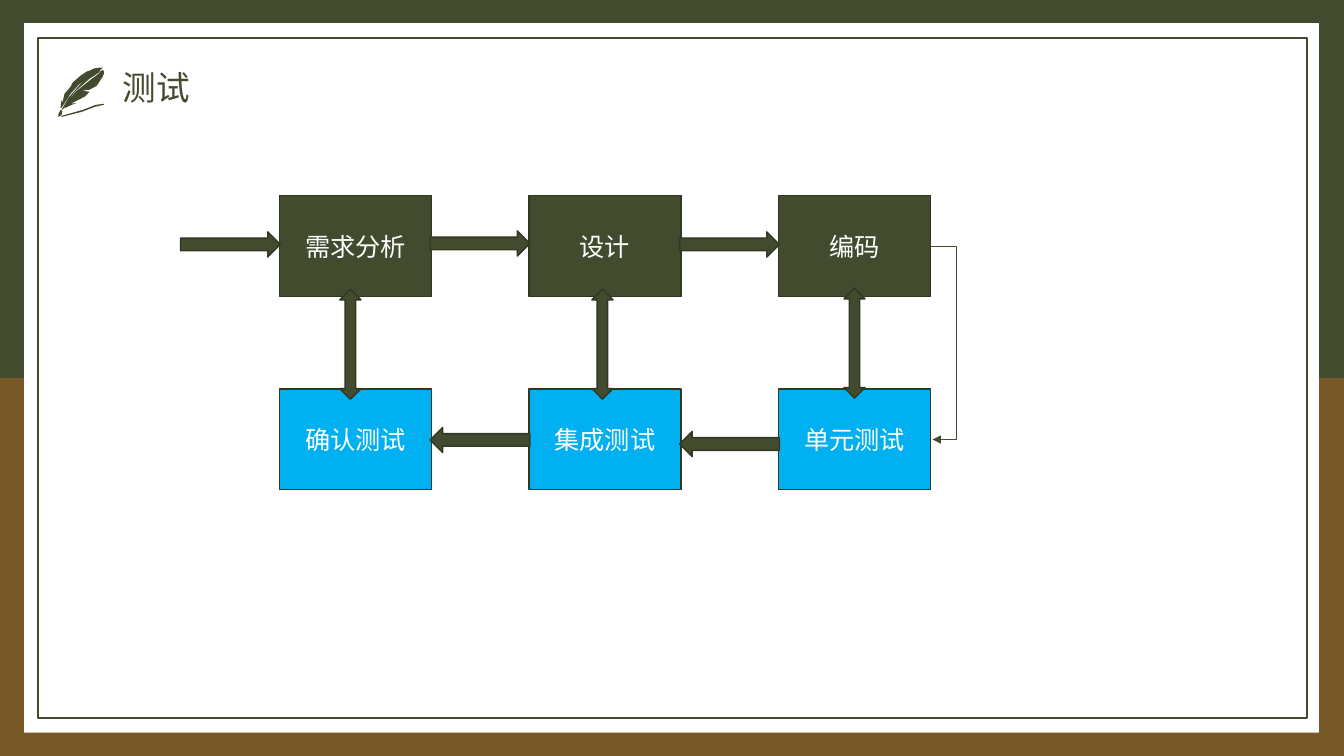
"""Build the testing-process slide with its two-row flow of stages."""
import dataclasses
import typing

import lxml.etree
import pptx
import pptx.dml.color
import pptx.enum.shapes
import pptx.enum.text
import pptx.oxml.ns
import pptx.shapes.autoshape
import pptx.shapes.connector
import pptx.slide
import pptx.util

Preset = pptx.enum.shapes.MSO_SHAPE
Inches = pptx.util.Inches


@dataclasses.dataclass(frozen=True)
class Theme:
    green: str = "434B2F"
    outline: str = "323723"
    brown: str = "795827"
    blue: str = "00B0F0"
    white: str = "FFFFFF"
    title_font: str = "Arial"
    body_font: str = "Montserrat"
    title_size: int = 24
    body_size: int = 18


@dataclasses.dataclass(frozen=True)
class Grid:
    left: float = 2.77
    top: float = 1.94
    column_pitch: float = 2.475
    row_pitch: float = 1.92
    width: float = 1.51
    height: float = 1.0

    def x(self, column: float) -> float:
        return self.left + column * self.column_pitch

    def y(self, row: float) -> float:
        return self.top + row * self.row_pitch


class Box(typing.NamedTuple):
    left: float
    top: float
    width: float
    height: float


class Stage(typing.NamedTuple):
    label: str
    column: int
    row: int


class Arrow(typing.NamedTuple):
    preset: Preset
    box: Box


THEME = Theme()
GRID = Grid()
WIDTH, HEIGHT = 13.33, 7.5

STAGES = [
    Stage(label, column, row)
    for row, labels in enumerate([("需求分析", "设计", "编码"), ("确认测试", "集成测试", "单元测试")])
    for column, label in enumerate(labels)
]

ARROWS = [
    *(Arrow(Preset.RIGHT_ARROW, Box(GRID.x(column) - 0.98, top, 0.99, 0.25))
      for column, top in enumerate((2.3, 2.29, 2.3))),
    *(Arrow(Preset.LEFT_ARROW, Box(GRID.x(column) - 0.98, top, 0.99, 0.25))
      for column, top in ((1, 4.24), (2, 4.28))),
    *(Arrow(Preset.UP_DOWN_ARROW, Box(3.37 + 2.5 * column, top, 0.21, 1.09))
      for column, top in enumerate((2.87, 2.87, 2.86))),
]

FEATHER = [
    [(99, 67), (102, 67), (98, 71), (94, 74), (79, 83), (70, 93), (61, 107), (60, 107),
     (61, 99), (62, 102), (64, 93), (70, 86), (72, 82), (80, 75), (86, 71), (89, 70), (93, 68)],
    [(102, 69), (103, 71), (103, 73), (102, 76), (98, 82), (96, 85), (89, 89), (81, 90),
     (89, 91), (84, 96), (81, 97), (73, 98), (82, 97), (70, 103), (76, 102), (69, 105),
     (65, 107), (63, 107), (75, 91), (90, 79), (98, 73)],
    [(101, 70), (89, 78), (74, 91), (63, 108), (61, 109), (68, 97), (80, 83), (95, 73)],
    [(60, 109), (62, 110), (61, 114), (58, 116), (58, 113)],
    [(103, 103), (103, 104), (94, 106), (81, 111), (61, 116), (61, 115), (82, 109), (95, 104)],
]


def color(value: str) -> pptx.dml.color.RGBColor:
    """Turn a hex string into a colour."""
    return pptx.dml.color.RGBColor.from_string(value)


def paint(shape: pptx.shapes.autoshape.Shape, fill: str | None,
          line: str | None = None, weight: float = 1) -> None:
    """Set the fill and line of a shape and drop its shadow."""
    shape.shadow.inherit = False
    if fill:
        shape.fill.solid()
        shape.fill.fore_color.rgb = color(fill)
    else:
        shape.fill.background()
    if line:
        shape.line.color.rgb = color(line)
        shape.line.width = pptx.util.Pt(weight)
    else:
        shape.line.fill.background()


def add_preset(slide: pptx.slide.Slide, preset: Preset, box: Box, fill: str | None,
               line: str | None = None, weight: float = 1) -> pptx.shapes.autoshape.Shape:
    """Add a painted preset shape."""
    shape = slide.shapes.add_shape(preset, *map(Inches, box))
    paint(shape, fill, line, weight)
    return shape


def write(shape: pptx.shapes.autoshape.Shape, text: str, font: str, size: int, ink: str,
          alignment: pptx.enum.text.PP_ALIGN, spacing: float = 1.0) -> None:
    """Write one run into a vertically centred shape."""
    frame = shape.text_frame
    frame.word_wrap = True
    frame.vertical_anchor = pptx.enum.text.MSO_ANCHOR.MIDDLE
    paragraph = frame.paragraphs[0]
    paragraph.alignment = alignment
    paragraph.line_spacing = spacing
    run = paragraph.add_run()
    run.text = text
    run.font.name = font
    run.font.size = pptx.util.Pt(size)
    run.font.color.rgb = color(ink)


def add_frame(slide: pptx.slide.Slide) -> None:
    """Draw the two-colour border, the white page and its thin rule."""
    half = HEIGHT / 2
    add_preset(slide, Preset.RECTANGLE, Box(0, half, WIDTH, half), THEME.brown)
    add_preset(slide, Preset.RECTANGLE, Box(0, 0, WIDTH, half), THEME.green)
    add_preset(slide, Preset.RECTANGLE, Box(0.24, 0.23, 12.84, 7.04), THEME.white)
    add_preset(slide, Preset.RECTANGLE, Box(0.38, 0.38, 12.58, 6.74), None, THEME.green, 1.5)


def add_feather(slide: pptx.slide.Slide) -> None:
    """Draw the feather from outlines in hundredths of an inch."""
    builder = slide.shapes.build_freeform(*FEATHER[0][0], scale=Inches(0.01))
    builder.add_line_segments(FEATHER[0][1:])
    for contour in FEATHER[1:]:
        builder.move_to(*contour[0])
        builder.add_line_segments(contour[1:])
    paint(builder.convert_to_shape(), THEME.green)


def add_return_line(slide: pptx.slide.Slide) -> None:
    """Link coding to unit testing with a bent arrow round the right side."""
    start = GRID.x(2) + GRID.width
    top = GRID.y(0) + GRID.height / 2
    run_width, reach = 0.02, 0.25
    connector = slide.shapes.add_connector(
        pptx.enum.shapes.MSO_CONNECTOR.ELBOW,
        *map(Inches, (start, top, start + run_width, top + GRID.row_pitch)))
    connector.line.color.rgb = color(THEME.green)
    connector.line.width = pptx.util.Pt(0.5)
    qualified = pptx.oxml.ns.qn
    properties = connector._element.spPr
    geometry = properties.find(qualified("a:prstGeom"))
    values = geometry.find(qualified("a:avLst"))
    if values is None:
        values = lxml.etree.SubElement(geometry, qualified("a:avLst"))
    lxml.etree.SubElement(values, qualified("a:gd"), name="adj1",
                          fmla=f"val {round(reach / run_width * 100000)}")
    line = properties.find(qualified("a:ln"))
    lxml.etree.SubElement(line, qualified("a:tailEnd"), type="triangle")
    lxml.etree.SubElement(properties, qualified("a:effectLst"))


def main() -> None:
    """Assemble and save the slide."""
    presentation = pptx.Presentation()
    presentation.slide_width, presentation.slide_height = Inches(WIDTH), Inches(HEIGHT)
    slide = presentation.slides.add_slide(presentation.slide_layouts[6])
    align = pptx.enum.text.PP_ALIGN
    add_frame(slide)
    add_feather(slide)
    title = slide.shapes.add_textbox(*map(Inches, Box(1.12, 0.65, 6, 0.48)))
    write(title, "测试", THEME.title_font, THEME.title_size, THEME.green, align.LEFT, 0.9)
    for stage in STAGES:
        box = Box(GRID.x(stage.column), GRID.y(stage.row), GRID.width, GRID.height)
        fill = (THEME.green, THEME.blue)[stage.row]
        shape = add_preset(slide, Preset.RECTANGLE, box, fill, THEME.outline)
        write(shape, stage.label, THEME.body_font, THEME.body_size, THEME.white, align.CENTER)
    for arrow in ARROWS:
        add_preset(slide, arrow.preset, arrow.box, THEME.green, THEME.outline)
    add_return_line(slide)
    presentation.save("out.pptx")


main()
